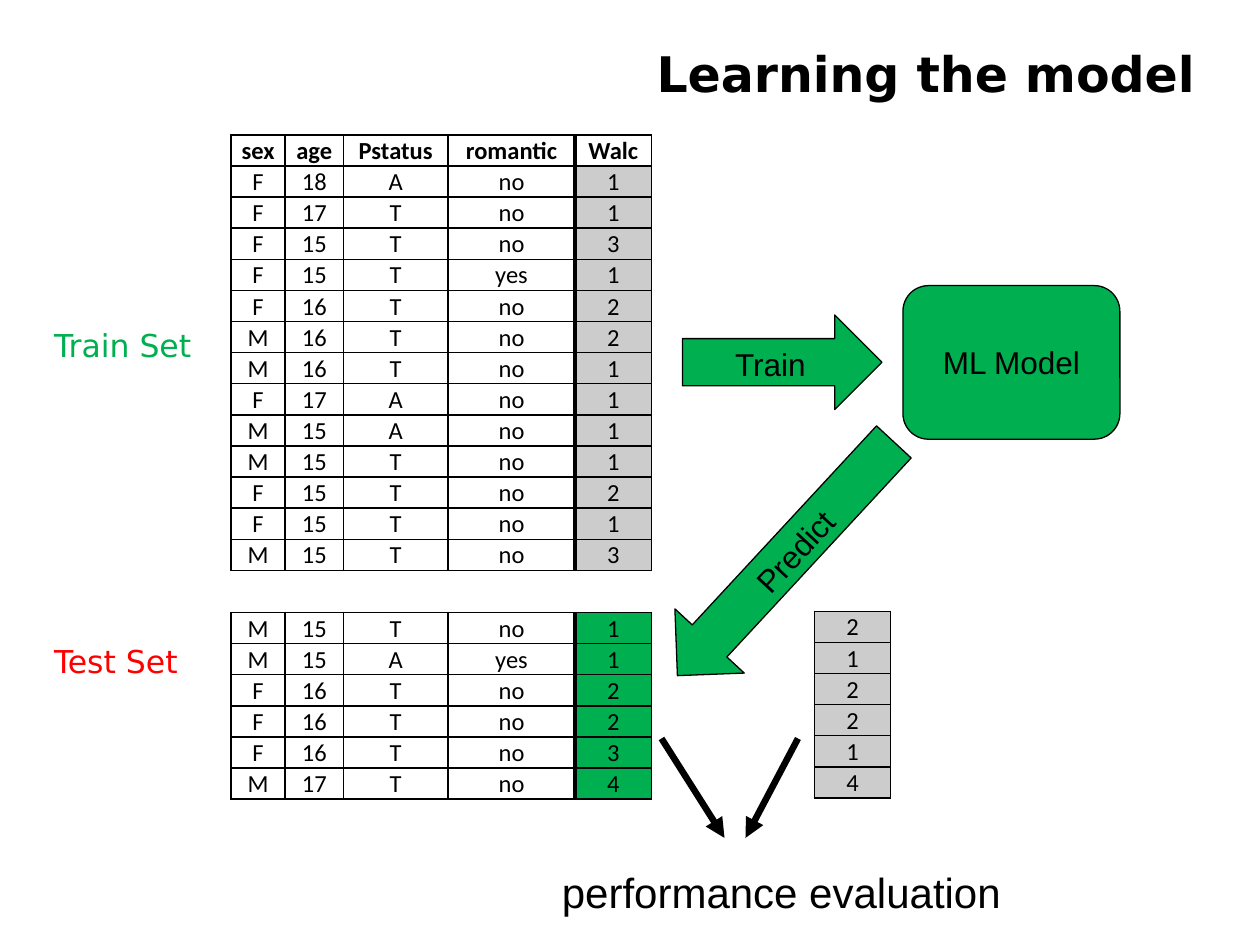
import pptx
import pptx.dml.color
import pptx.enum.shapes
import pptx.enum.text
import pptx.oxml
import pptx.oxml.ns
import pptx.util

Pt = pptx.util.Pt
qn = pptx.oxml.ns.qn
SHAPE = pptx.enum.shapes.MSO_SHAPE
ANCHOR = pptx.enum.text.MSO_ANCHOR
ALIGN = pptx.enum.text.PP_ALIGN
AUTO = pptx.enum.text.MSO_AUTO_SIZE

# Content
TITLE = "Learning the model"
HEADER = ["sex", "age", "Pstatus", "romantic", "Walc"]
TRAIN_ROWS = [
    "F 18 A no 1", "F 17 T no 1", "F 15 T no 3", "F 15 T yes 1", "F 16 T no 2",
    "M 16 T no 2", "M 16 T no 1", "F 17 A no 1", "M 15 A no 1", "M 15 T no 1",
    "F 15 T no 2", "F 15 T no 1", "M 15 T no 3",
]
TEST_ROWS = ["M 15 T no 1", "M 15 A yes 1", "F 16 T no 2",
             "F 16 T no 2", "F 16 T no 3", "M 17 T no 4"]
TRUE_VALUES = ["2", "1", "2", "2", "1", "4"]

THEME = {
    "black": "000000", "green": "00B050", "red": "FF0000", "gray": "CCCCCC",
    "heading_font": "DejaVu Sans", "body_font": "Arial", "table_font": "Calibri",
    "title": 28, "result": 24, "label": 18, "cell": 14,
    "outline": 0.75, "pointer": 3.75, "grid": 1, "divider": 2.25,
}

# Layout, in points
TITLE_BOX = (127.5, 18.7, 562.3, 45.4)
COLUMNS = [31, 33.2, 59.8, 72.7, 43.7]
ROW_HEIGHT = 17.8
TABLE_LEFT, TRAIN_TOP, TEST_TOP = 132, 77.1, 350
TRUE_LEFT, TRUE_TOP = 465.3, 349.3
LABELS = [  # text, box, font, size, colour
    ("Train Set", (23.8, 182.9, 95.8, 28.8), "heading_font", "label", "green"),
    ("Test Set", (23.8, 363.6, 88.6, 28.8), "heading_font", "label", "red"),
    ("performance evaluation", (314, 491.8, 267.8, 36), "body_font", "result", "black"),
]
BLOCKS = [  # text, shape, box, rotation, mirrored, anchor
    ("Train", SHAPE.RIGHT_ARROW, (390, 180, 114, 54), 0, False, ANCHOR.TOP),
    ("ML Model", SHAPE.ROUNDED_RECTANGLE, (516, 163.2, 124, 87.8), 0, False, ANCHOR.MIDDLE),
    ("Predict", SHAPE.RIGHT_ARROW, (358, 292.3, 182, 54), 312.8, True, ANCHOR.TOP),
]
POINTERS = [(378, 422, 414, 478.8), (456, 422, 426, 478.8)]


def color(name):
    return pptx.dml.color.RGBColor.from_string(THEME[name])


def points(values):
    return [Pt(v) for v in values]


def write(tf, text, font, size, ink="black", align=None, bold=False):
    p = tf.paragraphs[0]
    if align is not None:
        p.alignment = align
    r = p.add_run()
    r.text = text
    style = {"name": THEME[font], "size": Pt(THEME[size]), "bold": bold}
    for key, value in style.items():
        setattr(r.font, key, value)
    r.font.color.rgb = color(ink)


def add_borders(cell, widths):
    tc_pr = cell._tc.get_or_add_tcPr()
    for i, (side, width) in enumerate(zip("LRTB", widths)):
        tc_pr.insert(i, pptx.oxml.parse_xml(
            f'<a:ln{side} xmlns:a="http://schemas.openxmlformats.org/drawingml/2006/main"'
            f' w="{Pt(width)}"><a:solidFill><a:srgbClr val="{THEME["black"]}"/>'
            f'</a:solidFill></a:ln{side}>'))


def add_grid(s, left, top, rows, columns, target_fill, header=False):
    """Table whose last column holds the target values."""
    box = (left, top, sum(columns), ROW_HEIGHT * len(rows))
    table = s.shapes.add_table(len(rows), len(columns), *points(box)).table
    table.first_row = table.horz_banding = False
    for column, width in zip(table.columns, columns):
        column.width = Pt(width)
    last = len(columns) - 1
    grid, divider = THEME["grid"], THEME["divider"]
    cell_format = {"margin_left": Pt(0.7), "margin_right": Pt(0.7),
                   "margin_top": Pt(0.7), "margin_bottom": 0,
                   "vertical_anchor": ANCHOR.BOTTOM}
    for i, values in enumerate(rows):
        table.rows[i].height = Pt(ROW_HEIGHT)
        is_header = header and i == 0
        for j, text in enumerate(values):
            cell = table.cell(i, j)
            for key, value in cell_format.items():
                setattr(cell, key, value)
            write(cell.text_frame, text, "table_font", "cell",
                  align=ALIGN.CENTER, bold=is_header)
            if j == last and not is_header:
                cell.fill.solid()
                cell.fill.fore_color.rgb = color(target_fill)
            else:
                cell.fill.background()
            add_borders(cell, (divider if 0 < j == last else grid,
                               divider if j == last - 1 else grid, grid, grid))


prs = pptx.Presentation()
prs.slide_width, prs.slide_height = Pt(720), Pt(540)
s = prs.slides.add_slide(prs.slide_layouts[5])

# Title
title = s.shapes.title
title.left, title.top, title.width, title.height = points(TITLE_BOX)
title.text_frame.vertical_anchor = ANCHOR.MIDDLE
title.text_frame.auto_size = AUTO.NONE
write(title.text_frame, TITLE, "heading_font", "title", align=ALIGN.RIGHT, bold=True)

# Labels
for text, box, font, size, ink in LABELS:
    tf = s.shapes.add_textbox(*points(box)).text_frame
    tf.word_wrap = False
    tf.auto_size = AUTO.SHAPE_TO_FIT_TEXT
    write(tf, text, font, size, ink)

# Model and its arrows
for text, kind, box, rotation, mirrored, anchor in BLOCKS:
    sp = s.shapes.add_shape(kind, *points(box))
    sp.shadow.inherit = False
    sp.rotation = rotation
    if mirrored:
        sp._element.spPr.find(qn("a:xfrm")).set("flipH", "1")
    sp.fill.solid()
    sp.fill.fore_color.rgb = color("green")
    sp.line.color.rgb = color("black")
    sp.line.width = Pt(THEME["outline"])
    sp.text_frame.vertical_anchor = anchor
    write(sp.text_frame, text, "body_font", "label", align=ALIGN.CENTER)

# Pointers to the evaluation
for ends in POINTERS:
    pointer = s.shapes.add_connector(
        pptx.enum.shapes.MSO_CONNECTOR.STRAIGHT, *points(ends))
    pointer.line.color.rgb = color("black")
    pointer.line.width = Pt(THEME["pointer"])
    sp_pr = pointer._element.spPr
    head = sp_pr.find(qn("a:ln")).makeelement(qn("a:tailEnd"), {"type": "triangle"})
    sp_pr.find(qn("a:ln")).append(head)
    sp_pr.append(sp_pr.makeelement(qn("a:effectLst"), {}))

# Tables
test = [row.split() for row in TEST_ROWS]
train = [HEADER] + [row.split() for row in TRAIN_ROWS]
add_grid(s, TABLE_LEFT, TEST_TOP, test, COLUMNS, "green")
add_grid(s, TABLE_LEFT, TRAIN_TOP, train, COLUMNS, "gray", header=True)
add_grid(s, TRUE_LEFT, TRUE_TOP, [[v] for v in TRUE_VALUES], COLUMNS[-1:], "gray")

prs.save("out.pptx")
